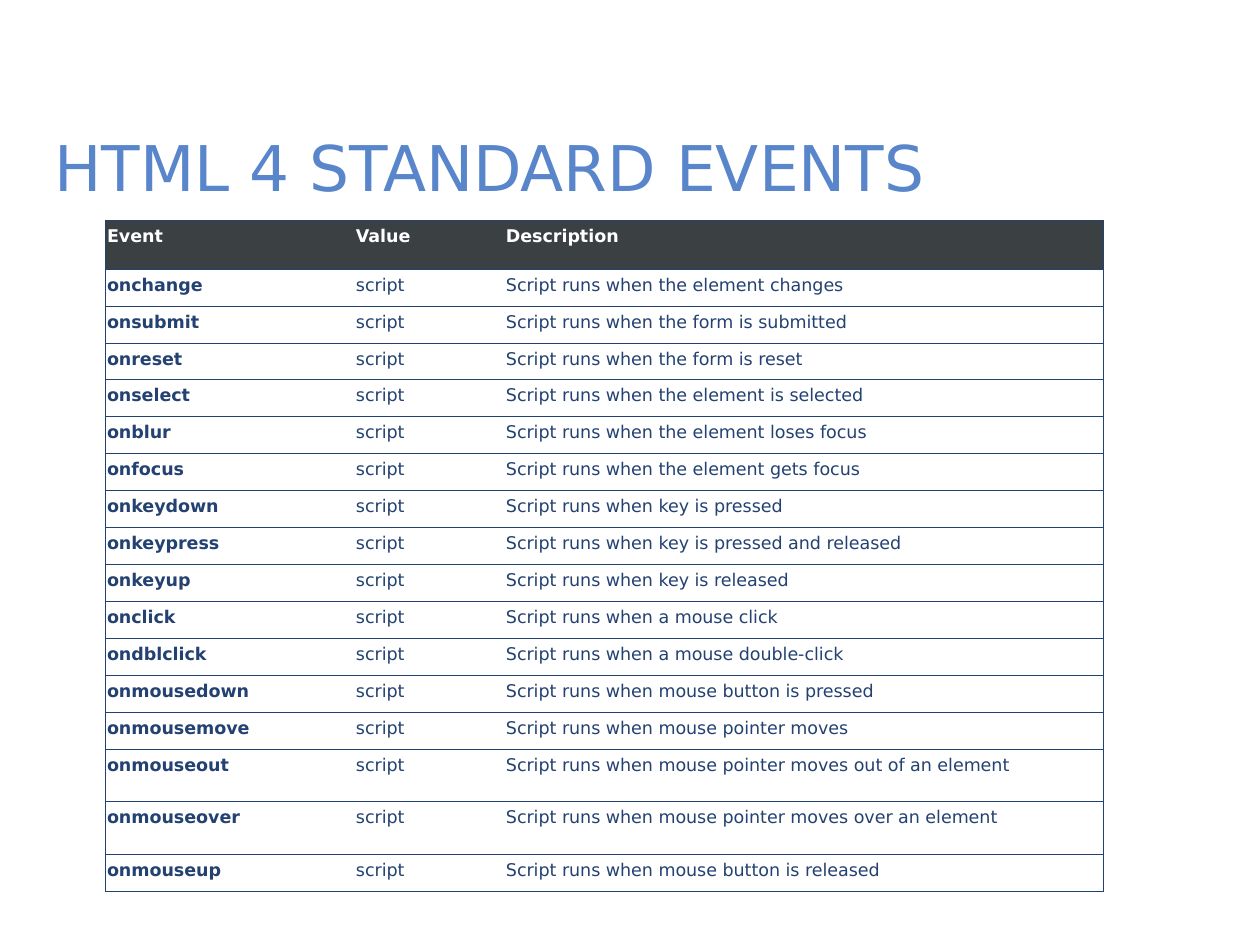
import pptx
import pptx.dml.color
import pptx.enum.text
import pptx.oxml
import pptx.util
from lxml import etree

PX = 914400 // 126
FONT = "DejaVu Sans"
NAVY, TITLE_BLUE, CHARCOAL, WHITE = "234171", "5985CB", "3B4042", "FFFFFF"
color = pptx.dml.color.RGBColor.from_string


def write_text(text_frame, text, size, hex_color, bold=False):
    paragraph = text_frame.paragraphs[0]
    paragraph.alignment = pptx.enum.text.PP_ALIGN.LEFT
    run = paragraph.add_run()
    run.text = text
    run.font.name = FONT
    run.font.size = pptx.util.Pt(size)
    run.font.bold = bold
    run.font.color.rgb = color(hex_color)


def add_borders(cell, visible_sides):
    properties = cell._tc.get_or_add_tcPr()
    for index, side in enumerate("LRTB"):
        line = etree.Element(pptx.oxml.ns.qn(f"a:ln{side}"), w=str(pptx.util.Pt(0.45)))
        if side in visible_sides:
            fill = etree.SubElement(line, pptx.oxml.ns.qn("a:solidFill"))
            etree.SubElement(fill, pptx.oxml.ns.qn("a:srgbClr"), val=NAVY)
        else:
            etree.SubElement(line, pptx.oxml.ns.qn("a:noFill"))
        properties.insert(index, line)


presentation = pptx.Presentation()
presentation.slide_width = pptx.util.Inches(10)
presentation.slide_height = pptx.util.Inches(7.5)
slide = presentation.slides.add_slide(presentation.slide_layouts[5])

# Title
title = slide.shapes.title
title.left, title.top, title.width, title.height = (n * PX for n in (42, 116, 1144, 94))
title.text_frame.auto_size = pptx.enum.text.MSO_AUTO_SIZE.NONE
title.text_frame.vertical_anchor = pptx.enum.text.MSO_ANCHOR.BOTTOM
write_text(title.text_frame, "HTML 4 STANDARD EVENTS", size=36, hex_color=TITLE_BLUE)

# Event rows: name and what triggers its script
events = [
    ("onchange", "the element changes"),
    ("onsubmit", "the form is submitted"),
    ("onreset", "the form is reset"),
    ("onselect", "the element is selected"),
    ("onblur", "the element loses focus"),
    ("onfocus", "the element gets focus"),
    ("onkeydown", "key is pressed"),
    ("onkeypress", "key is pressed and released"),
    ("onkeyup", "key is released"),
    ("onclick", "a mouse click"),
    ("ondblclick", "a mouse double-click"),
    ("onmousedown", "mouse button is pressed"),
    ("onmousemove", "mouse pointer moves"),
    ("onmouseout", "mouse pointer moves out of an element"),
    ("onmouseover", "mouse pointer moves over an element"),
    ("onmouseup", "mouse button is released"),
]
rows = [("Event", "Value", "Description")]
rows += [(name, "script", f"Script runs when {trigger}") for name, trigger in events]

# Table grid
column_widths = [249, 150, 599]
row_heights = [49] + [37] * 13 + [52, 53, 37]
table = slide.shapes.add_table(
    len(rows), len(column_widths), 105 * PX, 220 * PX,
    sum(column_widths) * PX, sum(row_heights) * PX).table
table.first_row = True
table.horz_banding = False
for column, width in zip(table.columns, column_widths):
    column.width = width * PX
for row, height in zip(table.rows, row_heights):
    row.height = height * PX

# Cells: dark header, bold event names, no inner vertical lines
for row_index, texts in enumerate(rows):
    is_header = row_index == 0
    for column_index, text in enumerate(texts):
        cell = table.cell(row_index, column_index)
        cell.margin_left = cell.margin_right = 2 * PX
        cell.margin_top = cell.margin_bottom = 6 * PX
        cell.fill.solid()
        cell.fill.fore_color.rgb = color(CHARCOAL if is_header else WHITE)
        add_borders(cell, ("LTB", "TB", "RTB")[column_index])
        write_text(cell.text_frame, text, size=10,
                   hex_color=WHITE if is_header else NAVY,
                   bold=is_header or column_index == 0)

presentation.save("out.pptx")
